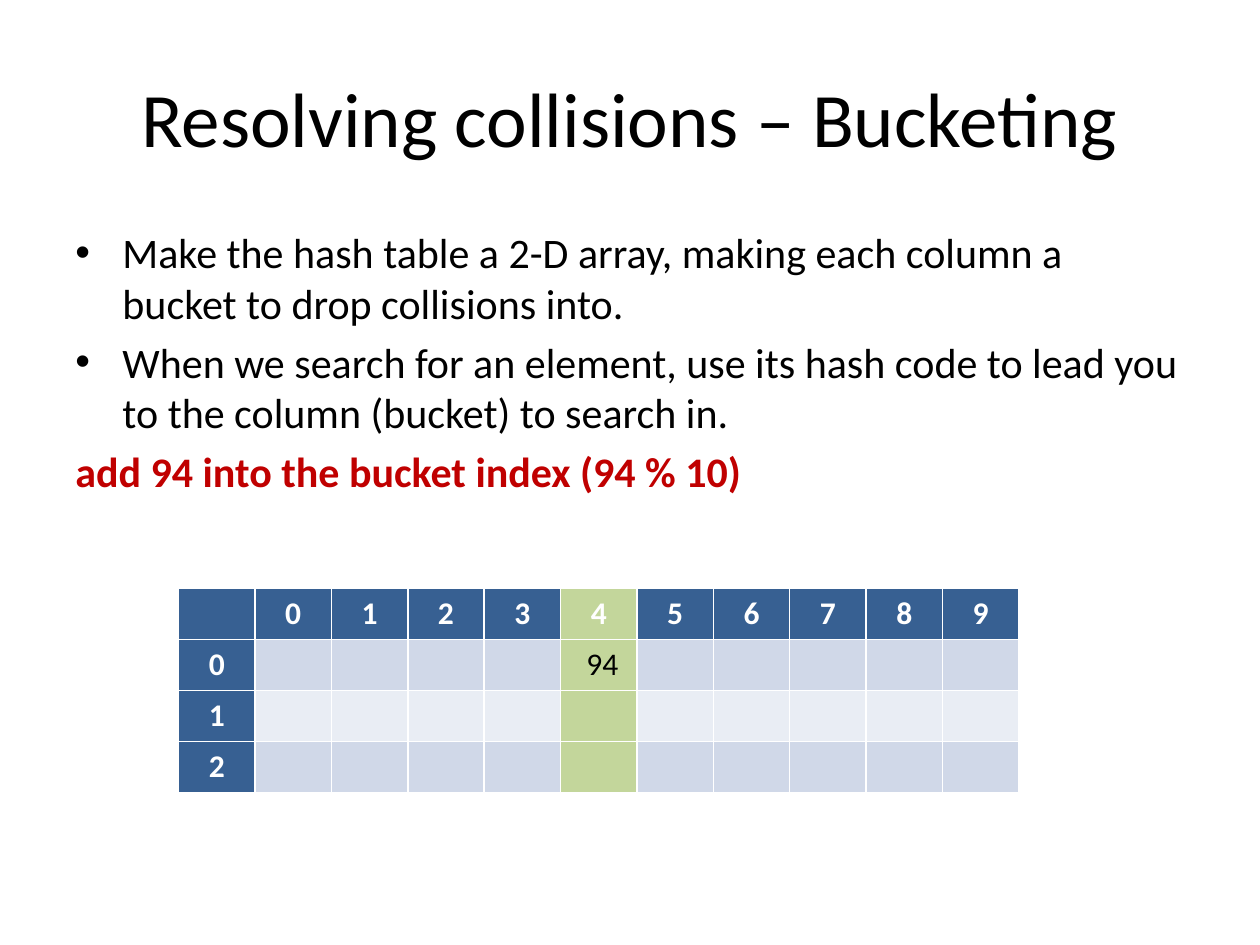
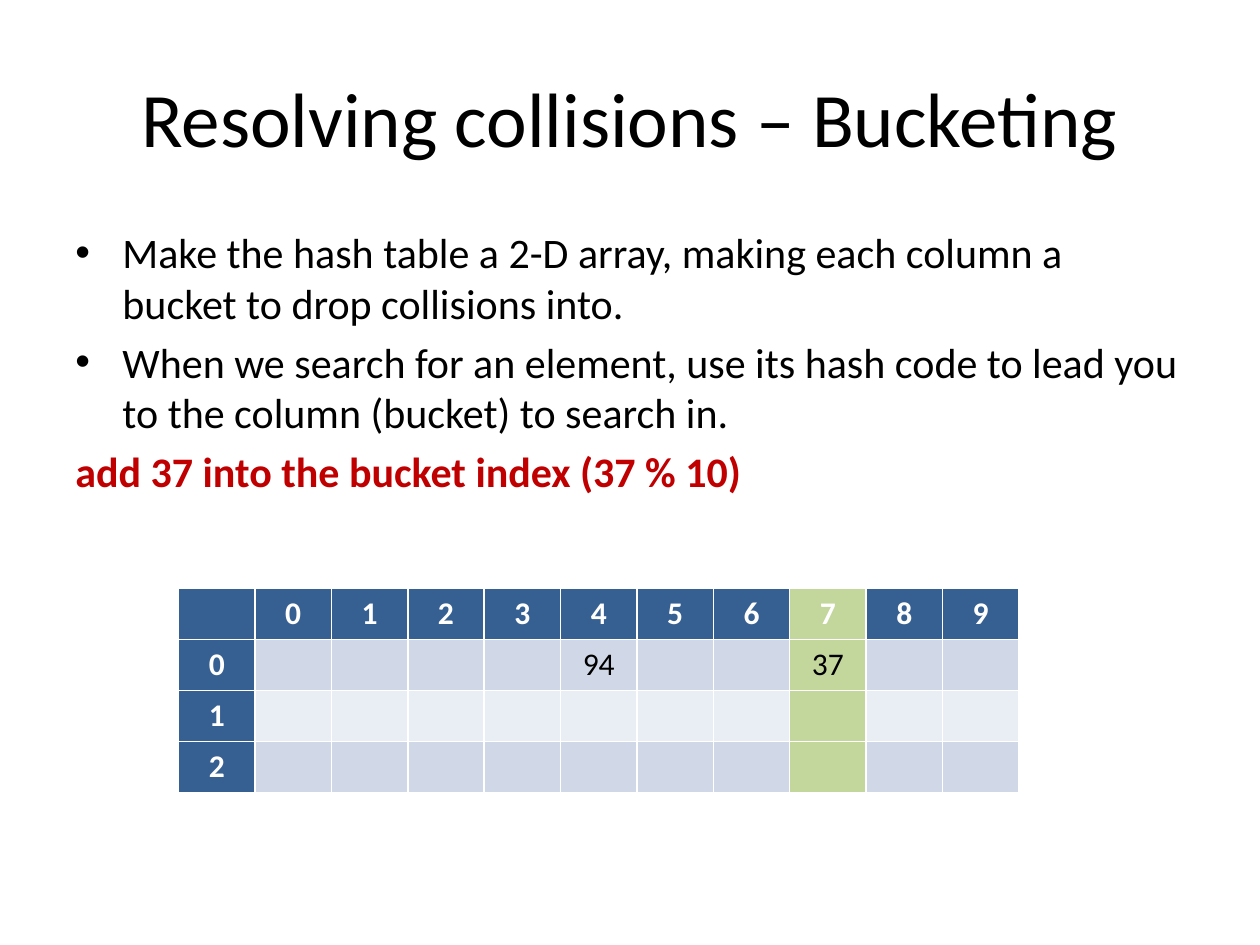
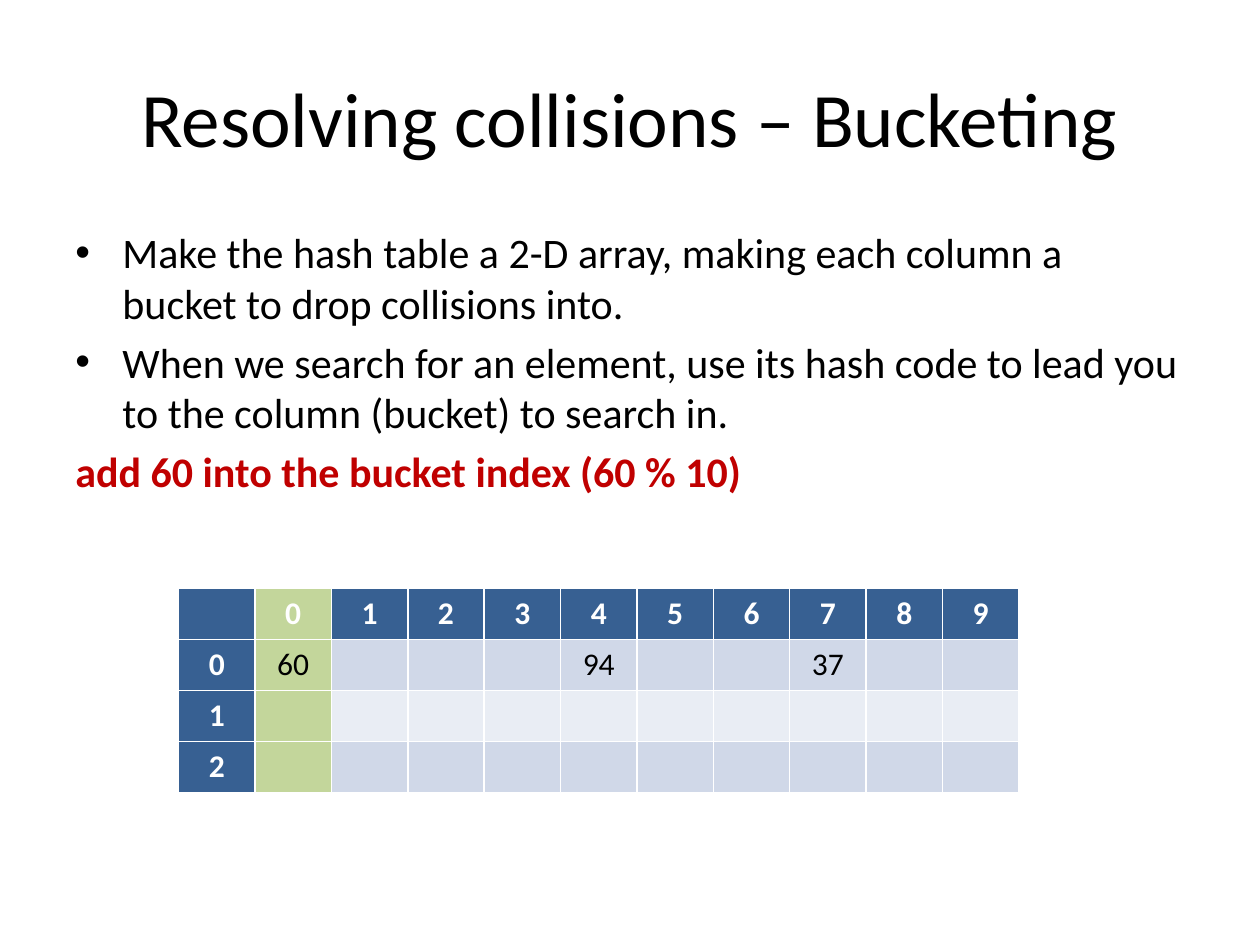
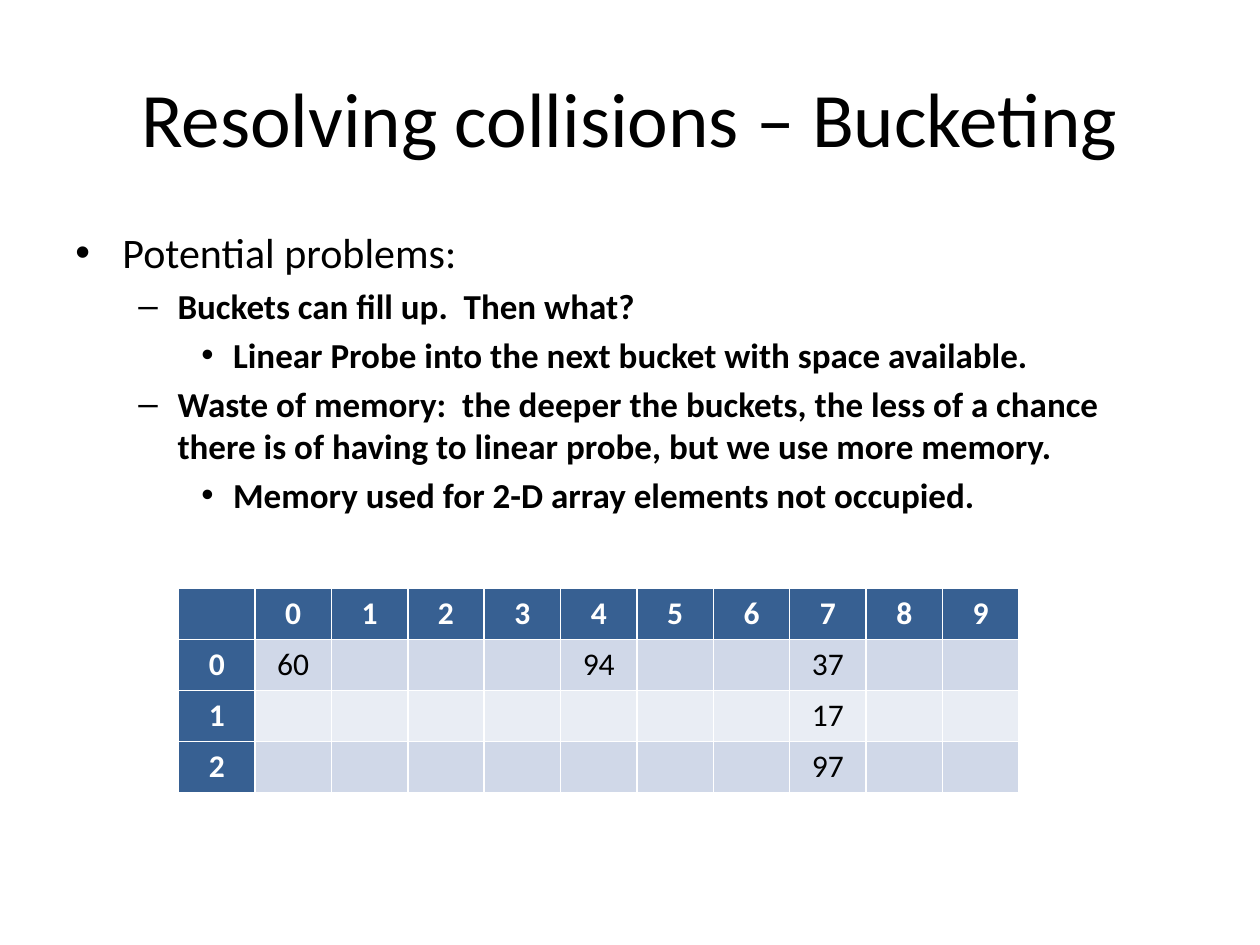
from lxml.etree import SubElement
from pptx import Presentation
from pptx.dml.color import RGBColor
from pptx.enum.text import MSO_ANCHOR, PP_ALIGN
from pptx.oxml.ns import qn
from pptx.util import Cm, Pt

HUES = {"text": "000000", "alert": "C00000", "white": "FFFFFF", "head": "376092",
        "odd": "D0D8E8", "even": "E9EDF4", "hot": "C3D69B"}
TITLE = "Resolving collisions – Bucketing"
# Bullet sign, left margin and hanging indent (cm) of each level
LEVELS = [("•", 0.95, 0.95), ("–", 2.06, 0.79), ("•", 3.18, 0.64)]
ROWS, COLS = 4, 11

IDEA = [
    ("Make the hash table a 2-D array, making each column a bucket to drop "
     "collisions into.", 0),
    ("When we search for an element, use its hash code to lead you to the column "
     "(bucket) to search in.", 0),
]
FLAWS = [
    ("Potential problems:", 0),
    ("Buckets can fill up.  Then what?", 1),
    ("Linear Probe into the next bucket with space available.", 2),
    ("Waste of memory:  the deeper the buckets, the less of a chance there is of "
     "having to linear probe, but we use more memory.", 1),
    ("Memory used for 2-D array elements not occupied.", 2),
]

# Each step: body lines, lit bucket, and the buckets' contents from the top down
STEPS = [
    (IDEA + [("add 94 into the bucket index (94 % 10)", None)], 4, {4: [" 94"]}),
    (IDEA + [("add 37 into the bucket index (37 % 10)", None)], 7,
     {4: ["94"], 7: ["37"]}),
    (IDEA + [("add 60 into the bucket index (60 % 10)", None)], 0,
     {0: ["60"], 4: ["94"], 7: ["37"]}),
    (FLAWS, None, {0: ["60"], 4: ["94"], 7: ["37", "17", "97"]}),
]


def style(para, size, hue="text", bold=False):
    for run in para.runs:
        font = run.font
        font.name, font.size, font.bold = "Calibri", Pt(size), bold
        font.color.rgb = RGBColor.from_string(HUES[hue])


def add_box(slide, top, height):
    box = slide.shapes.add_textbox(Cm(1.27), Cm(top), Cm(22.86), Cm(height))
    box.text_frame.word_wrap = True
    return box.text_frame


deck = Presentation()
deck.slide_width, deck.slide_height = Cm(25.4), Cm(19.05)

for lines, hot, buckets in STEPS:
    slide = deck.slides.add_slide(deck.slide_layouts[6])

    title = add_box(slide, 0.76, 3.18)
    title.vertical_anchor = MSO_ANCHOR.MIDDLE
    title.text = TITLE
    title.paragraphs[0].alignment = PP_ALIGN.CENTER
    style(title.paragraphs[0], 44)

    body = add_box(slide, 4.45, 12.57)
    body.text = "\n".join(text for text, level in lines)
    for para, (text, level) in zip(body.paragraphs, lines):
        size = 20 if level else 24
        para.space_before = Pt(size * 0.2)
        if level is None:
            style(para, size, "alert", True)
            continue
        style(para, size, bold=level > 0)
        para.level = level
        sign, left, hang = LEVELS[level]
        props = para._p.get_or_add_pPr()
        props.set("marL", str(Cm(left)))
        props.set("indent", str(-Cm(hang)))
        SubElement(props, qn("a:buFont")).set("typeface", "Arial")
        SubElement(props, qn("a:buChar")).set("char", sign)

    # The default table style supplies the white rules
    table = slide.shapes.add_table(ROWS, COLS, Cm(3.6), Cm(11.86),
                                   Cm(1.54 * COLS), Cm(1.03 * ROWS)).table
    table.first_col = True
    for col in table.columns:
        col.width = Cm(1.54)
    for row in table.rows:
        row.height = Cm(1.03)
    for r in range(ROWS):
        for c in range(COLS):
            cell = table.cell(r, c)
            head = r == 0 or c == 0
            stack = buckets.get(c - 1, [])
            if head:
                text = str(r + c - 1) if r + c else ""
            else:
                text = stack[r - 1] if r <= len(stack) else ""
            if c and c - 1 == hot:
                fill = "hot"
            elif head:
                fill = "head"
            else:
                fill = "odd" if r % 2 else "even"
            cell.fill.solid()
            cell.fill.fore_color.rgb = RGBColor.from_string(HUES[fill])
            if text:
                para = cell.text_frame.paragraphs[0]
                para.text = text
                para.alignment = PP_ALIGN.CENTER
                style(para, 18, "white" if head else "text", head)

deck.save("out.pptx")
